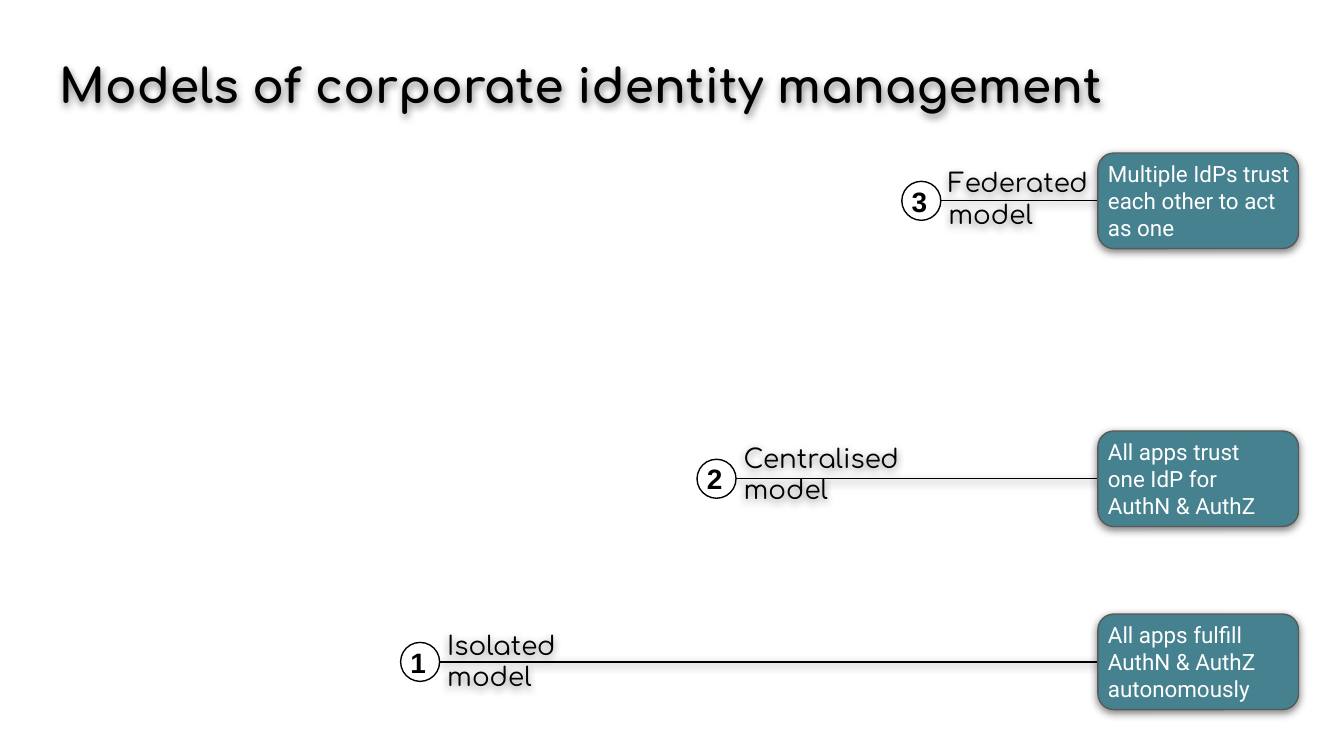
from lxml import etree
from pptx import Presentation
from pptx.dml.color import RGBColor
from pptx.enum.shapes import MSO_CONNECTOR, MSO_SHAPE
from pptx.enum.text import MSO_ANCHOR, PP_ALIGN
from pptx.oxml.ns import qn
from pptx.util import Pt

STRAIGHT = MSO_CONNECTOR.STRAIGHT
OVAL, ROUNDED = MSO_SHAPE.OVAL, MSO_SHAPE.ROUNDED_RECTANGLE
TOP, MIDDLE = MSO_ANCHOR.TOP, MSO_ANCHOR.MIDDLE
LEFT, CENTER = PP_ALIGN.LEFT, PP_ALIGN.CENTER

COLORS = {"ink": "000000", "card": "45818E", "border": "595959", "white": "FFFFFF"}
CARD_LEFT, CARD_WIDTH, CARD_HEIGHT = 588.2, 107.5, 51.2
BADGE_SIZE = 20.9
LABEL_OFFSET = 25

# Badge left, row centre, label top above the centre, label lines, card lines
MODELS = [
    (214.6, 354.6, 17.6, ["Isolated", "model"],
     ["All apps fulfill", "AuthN & AuthZ", "autonomously"]),
    (373.4, 256.5, 19.6, ["Centralised", "model"],
     ["All apps trust", "one IdP for", "AuthN & AuthZ"]),
    (483.1, 107.6, 18.3, ["Federated", "model"],
     ["Multiple IdPs trust each other to act as one"]),
]


def color(name):
    return RGBColor.from_string(COLORS[name])


def add_shadow(shape):
    """Soft shadow straight below; call after fill and line are set."""
    properties = shape._element.spPr
    effects = etree.SubElement(properties, qn("a:effectLst"))
    shadow = etree.SubElement(effects, qn("a:outerShdw"), blurRad=str(Pt(4.5)),
                              dist=str(Pt(1.5)), dir="5400000",
                              algn="bl", rotWithShape="0")
    black = etree.SubElement(shadow, qn("a:srgbClr"), val=COLORS["ink"])
    etree.SubElement(black, qn("a:alpha"), val="50000")


def set_outline(shape, name):
    shape.line.color.rgb = color(name)
    shape.line.width = Pt(0.75)


def write(shape, lines, font_name, size, ink, insets=(0, 0, 0, 0),
          anchor=TOP, align=LEFT, bold=False):
    frame = shape.text_frame
    frame.word_wrap = True
    frame.vertical_anchor = anchor
    (frame.margin_left, frame.margin_top,
     frame.margin_right, frame.margin_bottom) = map(Pt, insets)
    frame.text = "\n".join(lines)
    for paragraph in frame.paragraphs:
        paragraph.alignment = align
        for run in paragraph.runs:
            run.font.name = font_name
            run.font.size = Pt(size)
            run.font.bold = bold
            run.font.color.rgb = color(ink)


def add_text(slide, left, top, width, height, lines, size, **style):
    box = slide.shapes.add_textbox(Pt(left), Pt(top), Pt(width), Pt(height))
    write(box, lines, "Comfortaa", size, "ink", **style)
    add_shadow(box)


def add_model(slide, number, left, middle, label_rise, label, description):
    # Line from badge to card
    line = slide.shapes.add_connector(STRAIGHT, Pt(left + BADGE_SIZE), Pt(middle),
                                      Pt(CARD_LEFT), Pt(middle))
    set_outline(line, "ink")
    add_shadow(line)

    # Description card
    card = slide.shapes.add_shape(ROUNDED, Pt(CARD_LEFT), Pt(middle - CARD_HEIGHT / 2),
                                  Pt(CARD_WIDTH), Pt(CARD_HEIGHT))
    card.fill.solid()
    card.fill.fore_color.rgb = color("card")
    set_outline(card, "border")
    add_shadow(card)
    write(card, description, "Roboto", 12, "white", (2.9, 0, 0, 0), MIDDLE)

    # Numbered badge
    badge = slide.shapes.add_shape(OVAL, Pt(left), Pt(middle - BADGE_SIZE / 2),
                                   Pt(BADGE_SIZE), Pt(BADGE_SIZE))
    badge.fill.background()
    set_outline(badge, "ink")
    badge.shadow.inherit = False
    write(badge, [str(number)], "Arial", 15, "ink", (2.2, 7.2, 7.2, 7.2),
          MIDDLE, CENTER, True)

    # Model name
    add_text(slide, left + LABEL_OFFSET, middle - label_rise, 107.5, 34, label, 14)


def main():
    presentation = Presentation()
    presentation.slide_width, presentation.slide_height = Pt(720), Pt(405)
    slide = presentation.slides.add_slide(presentation.slide_layouts[6])
    add_text(slide, 24.5, 23, 678, 45.4, ["Models of corporate identity management"],
             25.2, insets=(7.2, 7.2, 7.2, 7.2), bold=True)
    for number, model in enumerate(MODELS, 1):
        add_model(slide, number, *model)
    presentation.save("out.pptx")


if __name__ == "__main__":
    main()
